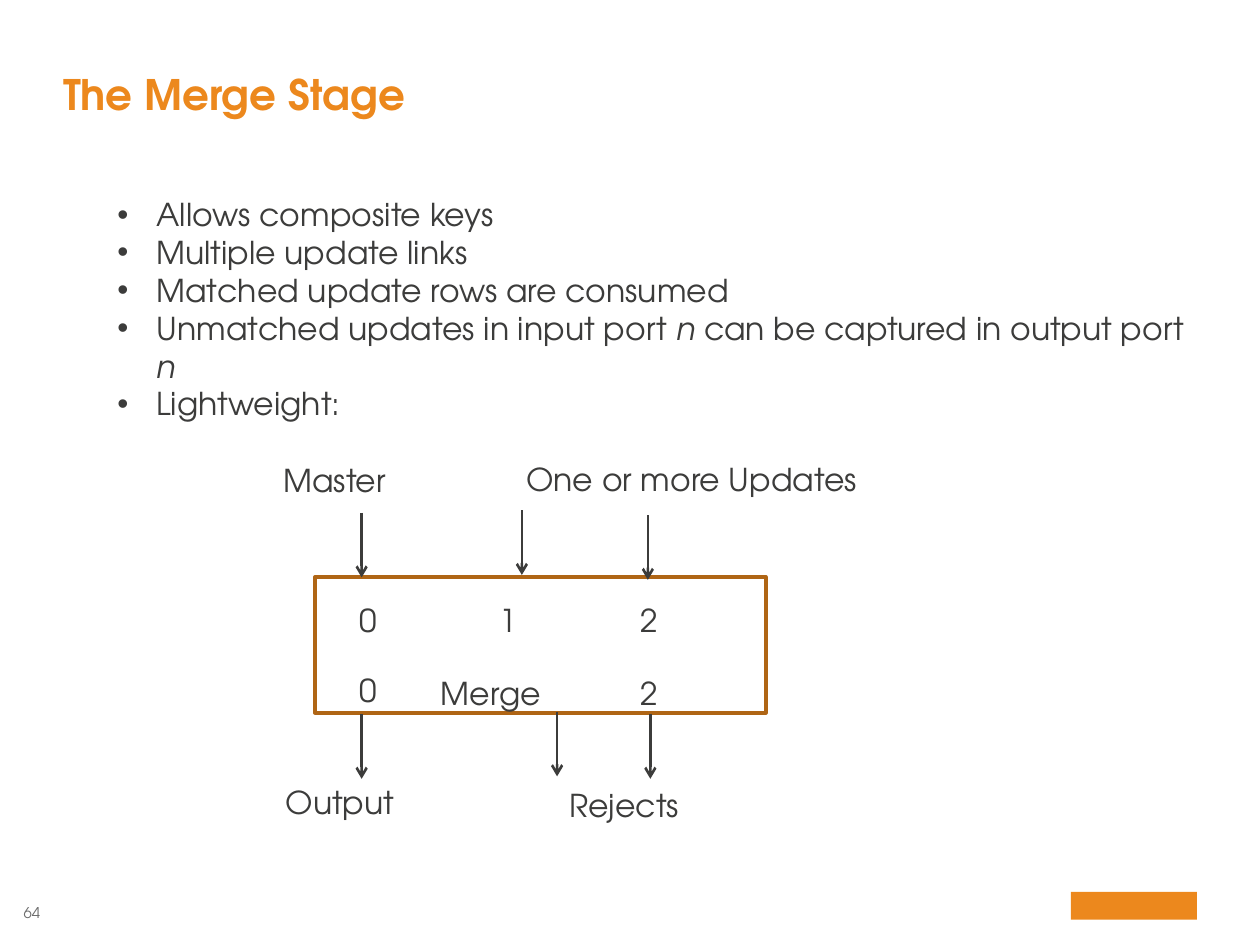
"""Build the slide on the Merge stage: a bullet list over a port diagram."""
from dataclasses import dataclass

from lxml import etree
from pptx import Presentation
from pptx.dml.color import RGBColor
from pptx.enum.shapes import MSO_CONNECTOR, MSO_SHAPE
from pptx.enum.text import MSO_ANCHOR, MSO_AUTO_SIZE, PP_ALIGN
from pptx.oxml.ns import qn
from pptx.util import Cm, Pt

LEFT, CENTER, RIGHT = PP_ALIGN.LEFT, PP_ALIGN.CENTER, PP_ALIGN.RIGHT
TOP, BOTTOM = MSO_ANCHOR.TOP, MSO_ANCHOR.BOTTOM
NO_AUTOFIT = MSO_AUTO_SIZE.NONE
RECTANGLE, STRAIGHT = MSO_SHAPE.RECTANGLE, MSO_CONNECTOR.STRAIGHT


@dataclass(frozen=True)
class Theme:
    """Font, colours and sizes of the slide."""
    font: str = "TeX Gyre Adventor"
    accent: str = "EC881D"
    frame: str = "AF6515"
    ink: str = "3C3C3B"
    muted: str = "6C6C6C"
    title_size: float = 24
    text_size: float = 18
    number_size: float = 8.5
    frame_width: float = 2
    arrow_width: float = 1.5


@dataclass(frozen=True)
class Label:
    """A diagram label, placed in centimetres."""
    text: str
    left: float
    top: float
    width: float
    align: PP_ALIGN = LEFT


@dataclass(frozen=True)
class Arrow:
    """A downward arrow, placed in centimetres."""
    x: float
    top: float


THEME = Theme()
LABEL_HEIGHT = 1.02
ARROW_LENGTH = 1.3
BULLET_INDENT = 0.79
PORT_LEFT, PORT_STEP, PORT_WIDTH = 6.99, 2.84, 0.76

BULLETS = [
    [("Allows composite keys", False)],
    [("Multiple update links", False)],
    [("Matched update rows are consumed", False)],
    [("Unmatched updates in input port ", False), ("n ", True),
     ("can be captured in output port ", False), ("n", True)],
    [("Lightweight:", False)],
]

LABELS = [
    Label("Master", 5.46, 9.17, 2.79),
    Label("One or more Updates", 10.26, 9.14, 7.37, CENTER),
    Label("Output", 5.51, 15.67, 2.97),
    Label("Rejects", 11.23, 15.72, 3.12),
    Label("Merge", 8.64, 13.46, 2.54),
] + [
    Label(str(port), PORT_LEFT + port * PORT_STEP, top, PORT_WIDTH)
    for port, top in [(0, 11.99), (1, 11.99), (2, 11.99), (0, 13.41), (2, 13.46)]
]

ARROWS = [
    Arrow(7.29, 10.34), Arrow(10.52, 10.29), Arrow(13.06, 10.39),
    Arrow(7.29, 14.4), Arrow(11.23, 14.35), Arrow(13.11, 14.4),
]


def write(para, text: str, *, size: float = THEME.text_size, color: str = THEME.ink,
          bold: bool = False, italic: bool = False, align: PP_ALIGN = LEFT) -> None:
    """Append one formatted span to a paragraph."""
    para.alignment = align
    span = para.add_run()
    span.text = text
    font = span.font
    font.name, font.size = THEME.font, Pt(size)
    font.bold, font.italic = bold, italic
    font.color.rgb = RGBColor.from_string(color)


def place(box, left: float, top: float, width: float, height: float) -> None:
    """Move and size a box in centimetres."""
    box.left, box.top, box.width, box.height = map(Cm, (left, top, width, height))


def clear_margins(frame) -> None:
    """Remove the inner margins of a text frame."""
    frame.margin_left = frame.margin_right = 0
    frame.margin_top = frame.margin_bottom = 0


def fill_title(title) -> None:
    """Write the slide title."""
    place(title, 1.27, 0.46, 22.86, 1.96)
    frame = title.text_frame
    frame.auto_size, frame.vertical_anchor = NO_AUTOFIT, BOTTOM
    clear_margins(frame)
    para = frame.paragraphs[0]
    para.line_spacing = 0.95
    write(para, "The Merge Stage", size=THEME.title_size, color=THEME.accent, bold=True)


def fill_list(body) -> None:
    """Write the bullet list."""
    place(body, 2.11, 3.81, 22.23, 4.88)
    frame = body.text_frame
    frame.auto_size, frame.vertical_anchor = NO_AUTOFIT, TOP
    for index, spans in enumerate(BULLETS):
        para = frame.add_paragraph() if index else frame.paragraphs[0]
        para.space_before = Pt(0)
        properties = para._p.get_or_add_pPr()
        properties.set("marL", str(Cm(BULLET_INDENT)))
        properties.set("indent", str(-Cm(BULLET_INDENT)))
        etree.SubElement(properties, qn("a:buFont"), typeface="Arial")
        etree.SubElement(properties, qn("a:buChar"), char="•")
        for text, italic in spans:
            write(para, text, italic=italic)


def add_label(slide, label: Label) -> None:
    """Add one diagram label."""
    box = slide.shapes.add_textbox(
        *map(Cm, (label.left, label.top, label.width, LABEL_HEIGHT)))
    box.text_frame.word_wrap = True
    write(box.text_frame.paragraphs[0], label.text, align=label.align)


def add_arrow(slide, arrow: Arrow) -> None:
    """Add one downward arrow."""
    line = slide.shapes.add_connector(
        STRAIGHT, *map(Cm, (arrow.x, arrow.top, arrow.x, arrow.top + ARROW_LENGTH)))
    line.line.color.rgb = RGBColor.from_string(THEME.ink)
    line.line.width = Pt(THEME.arrow_width)
    etree.SubElement(line.line._get_or_add_ln(), qn("a:tailEnd"), type="arrow")
    etree.SubElement(line._element.spPr, qn("a:effectLst"))


def add_rectangle(slide, left: float, top: float, width: float, height: float):
    """Add a rectangle without a shadow."""
    box = slide.shapes.add_shape(RECTANGLE, *map(Cm, (left, top, width, height)))
    box.shadow.inherit = False
    return box


def add_page_number(slide) -> None:
    """Add the page number."""
    box = slide.shapes.add_textbox(*map(Cm, (0.43, 18.21, 0.38, 0.36)))
    clear_margins(box.text_frame)
    box.text_frame.word_wrap = False
    write(box.text_frame.paragraphs[0], "64", size=THEME.number_size,
          color=THEME.muted, align=RIGHT)


def main() -> None:
    """Build and save the deck."""
    deck = Presentation()
    deck.slide_width, deck.slide_height = Cm(25.4), Cm(19.05)
    slide = deck.slides.add_slide(deck.slide_layouts[1])
    badge = add_rectangle(slide, 21.59, 17.98, 2.54, 0.56)
    badge.fill.solid()
    badge.fill.fore_color.rgb = RGBColor.from_string(THEME.accent)
    badge.line.fill.background()
    add_page_number(slide)
    fill_title(slide.shapes.title)
    fill_list(slide.placeholders[1])
    stage = add_rectangle(slide, 6.35, 11.63, 9.09, 2.74)
    stage.fill.background()
    stage.line.color.rgb = RGBColor.from_string(THEME.frame)
    stage.line.width = Pt(THEME.frame_width)
    for label in LABELS:
        add_label(slide, label)
    for arrow in ARROWS:
        add_arrow(slide, arrow)
    deck.save("out.pptx")


if __name__ == "__main__":
    main()
